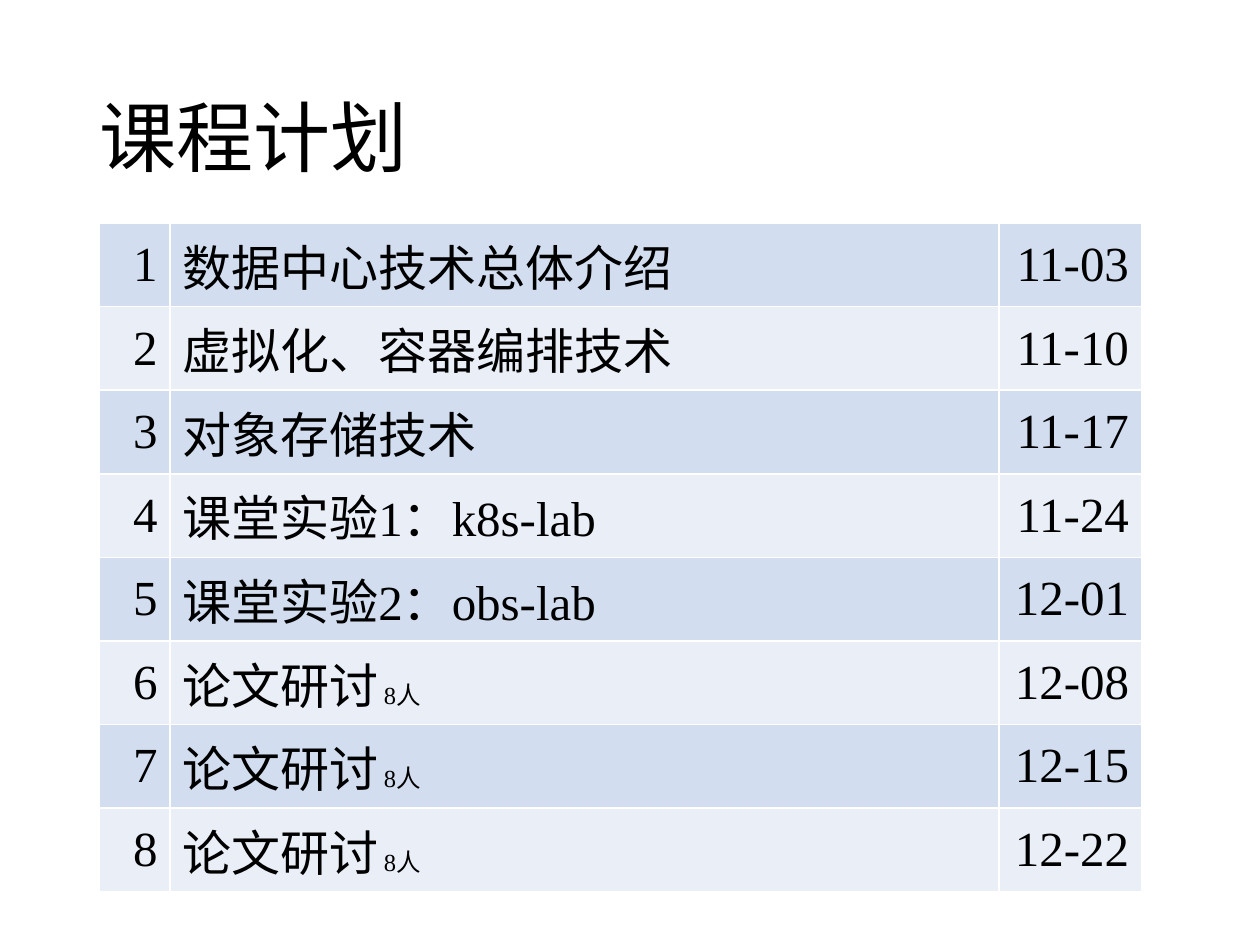
import dataclasses

import pptx
import pptx.dml.color
import pptx.enum.text
import pptx.oxml
import pptx.oxml.ns
import pptx.util

Inches, Pt = pptx.util.Inches, pptx.util.Pt
RGB = pptx.dml.color.RGBColor.from_string
Align = pptx.enum.text.PP_ALIGN
Anchor = pptx.enum.text.MSO_ANCHOR


@dataclasses.dataclass(frozen=True)
class Theme:
    face: str = "Times New Roman"
    ink: str = "000000"
    rule: str = "FFFFFF"
    bands: tuple = ("D2DEEF", "EAEFF7")
    head: int = 44
    text: int = 28
    note: int = 14


@dataclasses.dataclass(frozen=True)
class Lesson:
    topic: str
    date: str
    note: str = ""


THEME = Theme()
WIDTH, HEIGHT = Inches(10), Inches(7.5)
COLS = (0.56, 6.58, 1.13)
ROW = 5.31 / 8
PLAN = (
    Lesson("数据中心技术总体介绍", "11-03"),
    Lesson("虚拟化、容器编排技术", "11-10"),
    Lesson("对象存储技术", "11-17"),
    Lesson("课堂实验1：k8s-lab", "11-24"),
    Lesson("课堂实验2：obs-lab", "12-01"),
    Lesson("论文研讨", "12-08", " 8人"),
    Lesson("论文研讨", "12-15", " 8人"),
    Lesson("论文研讨", "12-22", " 8人"),
)


def style(para, size: int, align) -> None:
    para.alignment = align
    para.font.name = THEME.face
    para.font.size = Pt(size)
    para.font.color.rgb = RGB(THEME.ink)


def border(cell) -> None:
    """Rule all four sides of a cell with a 1 pt line."""
    props = cell._tc.get_or_add_tcPr()
    space = pptx.oxml.ns.nsdecls("a")
    for spot, side in enumerate("LRTB"):
        props.insert(spot, pptx.oxml.parse_xml(
            f'<a:ln{side} {space} w="{Pt(1)}"><a:solidFill>'
            f'<a:srgbClr val="{THEME.rule}"/></a:solidFill></a:ln{side}>'))


def write(cell, text: str, align, band: str, note: str = "") -> None:
    cell.vertical_anchor = Anchor.MIDDLE
    cell.fill.solid()
    cell.fill.fore_color.rgb = RGB(band)
    border(cell)
    para = cell.text_frame.paragraphs[0]
    style(para, THEME.text, align)
    para.add_run().text = text
    if note:
        small = para.add_run()
        small.text = note
        small.font.size = Pt(THEME.note)


def add_title(slide, text: str) -> None:
    title = slide.shapes.title
    title.left, title.top = Inches(0.69), Inches(0.4)
    title.width, title.height = Inches(8.62), Inches(1.45)
    frame = title.text_frame
    frame.text = text
    frame.vertical_anchor = Anchor.MIDDLE
    frame.auto_size = pptx.enum.text.MSO_AUTO_SIZE.NONE
    para = frame.paragraphs[0]
    para.line_spacing = 0.9
    style(para, THEME.head, Align.LEFT)


def add_plan(slide, plan: tuple) -> None:
    table = slide.shapes.add_table(
        len(plan), len(COLS), Inches(0.79), Inches(1.77),
        Inches(sum(COLS)), Inches(ROW * len(plan))).table
    table.first_row = False
    for col, width in zip(table.columns, COLS):
        col.width = Inches(width)
    for num, lesson in enumerate(plan):
        band = THEME.bands[num % 2]
        table.rows[num].height = Inches(ROW)
        write(table.cell(num, 0), str(num + 1), Align.RIGHT, band)
        write(table.cell(num, 1), lesson.topic, Align.LEFT, band, lesson.note)
        write(table.cell(num, 2), lesson.date, Align.RIGHT, band)


def main() -> None:
    deck = pptx.Presentation()
    deck.slide_width, deck.slide_height = WIDTH, HEIGHT
    slide = deck.slides.add_slide(deck.slide_layouts[5])
    # Heading
    add_title(slide, "课程计划")
    # Weekly schedule
    add_plan(slide, PLAN)
    deck.save("out.pptx")


if __name__ == "__main__":
    main()
